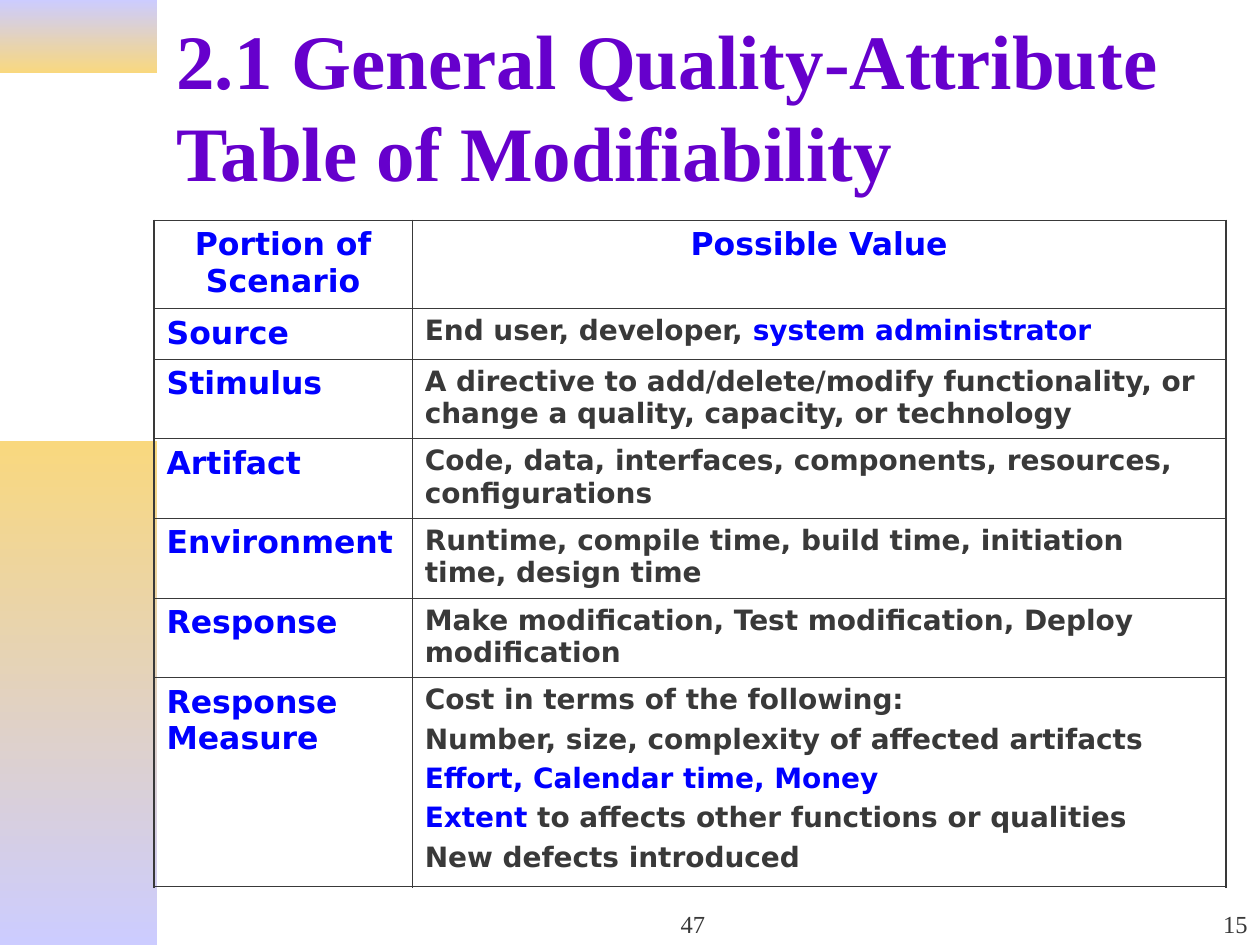
import pptx
import pptx.util
import pptx.dml.color
import pptx.enum.shapes
import pptx.enum.text
import pptx.oxml.ns
from lxml import etree

Pt = pptx.util.Pt
ALIGN = pptx.enum.text.PP_ALIGN
ANCHOR = pptx.enum.text.MSO_ANCHOR

COLORS = {"title": "6600CC", "key": "0000FF", "text": "393939",
          "lilac": "CCCCFF", "gold": "F9D87E"}
SERIF, SANS = "Times New Roman", "DejaVu Sans"

# A value cell is a list of lines; a line is a list of (text, color) runs.
HEADS = ["Portion of Scenario", "Possible Value"]
ROWS = [
    ("Source", [[("End user, developer, ", "text"),
                 ("system administrator", "key")]]),
    ("Stimulus", [[("A directive to add/delete/modify functionality, or "
                    "change a quality, capacity, or technology", "text")]]),
    ("Artifact", [[("Code, data, interfaces, components, resources, "
                    "configurations", "text")]]),
    ("Environment", [[("Runtime, compile time, build time, initiation time, "
                       "design time", "text")]]),
    ("Response", [[("Make modification, Test modification, Deploy "
                    "modification", "text")]]),
    ("Response Measure", [
        [("Cost in terms of the following:", "text")],
        [("Number, size, complexity of affected artifacts", "text")],
        [("Effort, Calendar time, Money", "key")],
        [("Extent", "key"),
         (" to affects other functions or qualities", "text")],
        [("New defects introduced", "text")]]),
]
WIDTHS = [147.6, 465.1]
HEIGHTS = [50.4, 28.8] + [45.5] * 4 + [119.5]


def rgb(name):
    return pptx.dml.color.RGBColor.from_string(COLORS[name])


def style(font, face, size, color, bold=False):
    font.name, font.size, font.bold = face, Pt(size), bold
    font.color.rgb = rgb(color)


def add_band(slide, box, top, bottom):
    """Add a side band that fades from the top colour to the bottom one."""
    band = slide.shapes.add_shape(
        pptx.enum.shapes.MSO_SHAPE.RECTANGLE, *map(Pt, box))
    band.shadow.inherit = False
    band.line.fill.background()
    band.fill.gradient()
    band.fill.gradient_angle = 270
    for stop, color in zip(band.fill.gradient_stops, (top, bottom)):
        stop.color.rgb = rgb(color)


def set_title(slide, box, text):
    title = slide.shapes.title
    title.left, title.top, title.width, title.height = map(Pt, box)
    frame = title.text_frame
    frame.text = text
    frame.auto_size = pptx.enum.text.MSO_AUTO_SIZE.NONE
    frame.vertical_anchor = ANCHOR.MIDDLE
    para = frame.paragraphs[0]
    para.alignment = ALIGN.LEFT
    style(para.font, SERIF, 44, "title", True)


def add_edge(cell, side, width):
    line = etree.SubElement(cell._tc.get_or_add_tcPr(),
                            pptx.oxml.ns.qn("a:ln" + side), w=str(Pt(width)))
    fill = etree.SubElement(line, pptx.oxml.ns.qn("a:solidFill"))
    etree.SubElement(fill, pptx.oxml.ns.qn("a:srgbClr"), val=COLORS["text"])


def fill_cell(cell, lines, size, align):
    frame = cell.text_frame
    for i, line in enumerate(lines):
        para = frame.add_paragraph() if i else frame.paragraphs[0]
        para.alignment = align
        if i:
            para.space_before = Pt(4)
        style(para.font, SANS, size, line[0][1], True)
        for text, color in line:
            run = para.add_run()
            run.text = text
            run.font.color.rgb = rgb(color)


def add_grid(slide, left, top):
    """Add the scenario table with a heavier outer frame."""
    count = len(ROWS) + 1
    table = slide.shapes.add_table(
        count, 2, Pt(left), Pt(top), Pt(sum(WIDTHS)), Pt(sum(HEIGHTS))).table
    table.horz_banding = table.first_row = False
    for col, width in zip(table.columns, WIDTHS):
        col.width = Pt(width)
    for row, height in zip(table.rows, HEIGHTS):
        row.height = Pt(height)
    for r in range(count):
        for c in range(2):
            cell = table.cell(r, c)
            outer = {"L": c == 0, "R": c == 1, "T": r == 0, "B": r == count - 1}
            for side, heavy in outer.items():
                add_edge(cell, side, 1.08 if heavy else 0.45)
            cell.fill.background()
    for c, head in enumerate(HEADS):
        fill_cell(table.cell(0, c), [[(head, "key")]], 18, ALIGN.CENTER)
    for r, (name, lines) in enumerate(ROWS, 1):
        fill_cell(table.cell(r, 0), [[(name, "key")]], 18, ALIGN.LEFT)
        fill_cell(table.cell(r, 1), lines, 16, ALIGN.LEFT)


def add_note(slide, box, text, align):
    frame = slide.shapes.add_textbox(*map(Pt, box)).text_frame
    frame.word_wrap = True
    frame.vertical_anchor = ANCHOR.BOTTOM
    frame.text = text
    para = frame.paragraphs[0]
    para.alignment = align
    style(para.font, SERIF, 14, "text")


def main():
    deck = pptx.Presentation()
    deck.slide_width, deck.slide_height = Pt(720), Pt(540)
    slide = deck.slides.add_slide(deck.slide_layouts.get_by_name("Title Only"))
    add_band(slide, (0, 0, 90, 42), "lilac", "gold")
    add_band(slide, (0, 252, 90, 288), "gold", "lilac")
    set_title(slide, (93.6, 8, 590.4, 104),
              "2.1 General Quality-Attribute Table of Modifiability")
    add_grid(slide, 88, 126)
    add_note(slide, (282, 504, 228, 36), "47", ALIGN.CENTER)
    add_note(slide, (570, 504, 150, 36), "15", ALIGN.RIGHT)
    deck.save("out.pptx")


if __name__ == "__main__":
    main()
